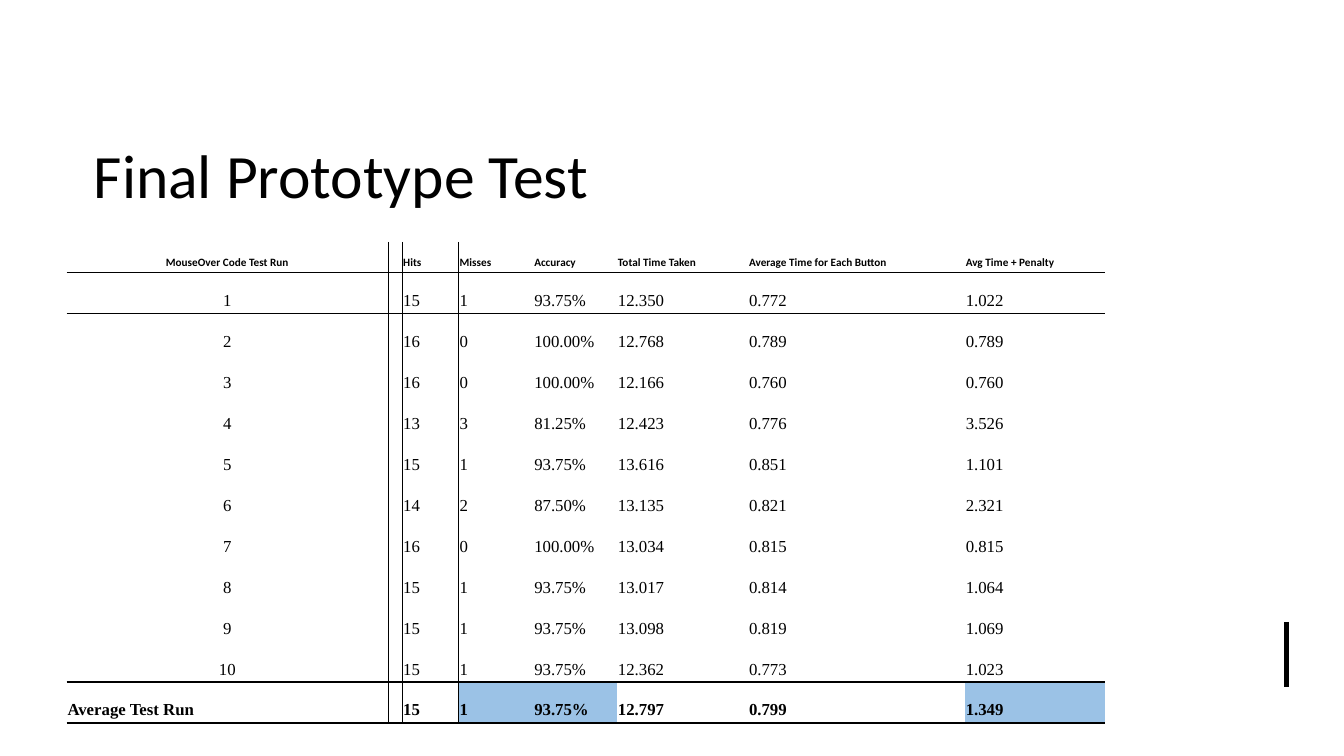
from lxml import etree
from pptx import Presentation
from pptx import util as u
from pptx.dml.color import RGBColor
from pptx.enum import shapes, text
from pptx.oxml.ns import qn

COLORS = {"ink": "000000", "highlight": "9BC2E6"}
NO_STYLE_NO_GRID = "{2D5ABB26-0587-4C30-8999-92F81FD0307C}"

HEADERS = ["MouseOver Code Test Run", "", "Hits", "Misses", "Accuracy",
           "Total Time Taken", "Average Time for Each Button", "Avg Time + Penalty"]
RUNS = [
    ("15", "1", "93.75%", "12.350", "0.772", "1.022"),
    ("16", "0", "100.00%", "12.768", "0.789", "0.789"),
    ("16", "0", "100.00%", "12.166", "0.760", "0.760"),
    ("13", "3", "81.25%", "12.423", "0.776", "3.526"),
    ("15", "1", "93.75%", "13.616", "0.851", "1.101"),
    ("14", "2", "87.50%", "13.135", "0.821", "2.321"),
    ("16", "0", "100.00%", "13.034", "0.815", "0.815"),
    ("15", "1", "93.75%", "13.017", "0.814", "1.064"),
    ("15", "1", "93.75%", "13.098", "0.819", "1.069"),
    ("15", "1", "93.75%", "12.362", "0.773", "1.023"),
]
AVERAGE = ["Average Test Run", "", "15", "1", "93.75%", "12.797", "0.799", "1.349"]
ROWS = [HEADERS, *([str(n), "", *run] for n, run in enumerate(RUNS, 1)), AVERAGE]
LAST = len(ROWS) - 1
COLUMN_WIDTHS = [3.19, 0.14, 0.56, 0.74, 0.83, 1.3, 2.15, 1.39]
HEADER_HEIGHT = 0.3
ROW_HEIGHT = 4.47 / LAST
HIGHLIGHTED_COLUMNS = (3, 4, 7)


def add_run(paragraph, words, font_name, size, bold=False):
    run = paragraph.add_run()
    run.text = words
    run.font.name = font_name
    run.font.size = u.Pt(size)
    run.font.bold = bold
    run.font.color.rgb = RGBColor.from_string(COLORS["ink"])


def add_border(cell, side, points):
    """Draw one cell side (L, R, T or B); call in that order."""
    line = etree.SubElement(cell._tc.get_or_add_tcPr(), qn(f"a:ln{side}"),
                            w=str(u.Pt(points)))
    fill = etree.SubElement(line, qn("a:solidFill"))
    etree.SubElement(fill, qn("a:srgbClr"), val=COLORS["ink"])


presentation = Presentation()
presentation.slide_width = u.Inches(13.33)
presentation.slide_height = u.Inches(7.5)
slide = presentation.slides.add_slide(presentation.slide_layouts[5])

# Title
title = slide.shapes.title
title.left, title.top = u.Inches(0.83), u.Inches(0.94)
title.width, title.height = u.Inches(11.35), u.Inches(1.57)
title.text_frame.vertical_anchor = text.MSO_ANCHOR.MIDDLE
title_paragraph = title.text_frame.paragraphs[0]
title_paragraph.alignment = text.PP_ALIGN.LEFT
add_run(title_paragraph, "Final Prototype Test", "Calibri", 44)

# Accent line at the right edge
accent = slide.shapes.add_connector(
    shapes.MSO_CONNECTOR.STRAIGHT,
    u.Inches(12.76), u.Inches(6.17), u.Inches(12.76), u.Inches(6.82))
accent.line.color.rgb = RGBColor.from_string(COLORS["ink"])
accent.line.width = u.Pt(3)
etree.SubElement(accent._element.spPr, qn("a:effectLst"))

# Results table
table = slide.shapes.add_table(
    len(ROWS), len(HEADERS), u.Inches(0.66), u.Inches(2.4),
    u.Inches(sum(COLUMN_WIDTHS)), u.Inches(HEADER_HEIGHT + LAST * ROW_HEIGHT)).table
table.first_row = table.horz_banding = False
table._tbl.tblPr.find(qn("a:tableStyleId")).text = NO_STYLE_NO_GRID
for column, width in zip(table.columns, COLUMN_WIDTHS):
    column.width = u.Inches(width)

for r, values in enumerate(ROWS):
    table.rows[r].height = u.Inches(ROW_HEIGHT if r else HEADER_HEIGHT)
    font_name, size = ("Times New Roman", 12) if r else ("Calibri", 8)
    for c, value in enumerate(values):
        cell = table.cell(r, c)
        cell.vertical_anchor = text.MSO_ANCHOR.BOTTOM
        cell.margin_left = cell.margin_right = cell.margin_top = u.Inches(0.01)
        cell.margin_bottom = u.Inches(0.03)
        paragraph = cell.text_frame.paragraphs[0]
        if c == 0 and r < LAST:
            paragraph.alignment = text.PP_ALIGN.CENTER
        if value:
            add_run(paragraph, value, font_name, size, bold=r in (0, LAST))
        else:
            etree.SubElement(paragraph._p, qn("a:endParaRPr"), sz="800")

        if c in (1, 2):
            add_border(cell, "L", 0.75)
        if c in (0, 1):
            add_border(cell, "R", 0.75)
        if r in (1, LAST):
            add_border(cell, "T", 0.75 if r == 1 else 1.5)
        if r in (0, LAST - 1, LAST):
            add_border(cell, "B", 1.5 if r else 0.75)
        if r == LAST and c in HIGHLIGHTED_COLUMNS:
            cell.fill.solid()
            cell.fill.fore_color.rgb = RGBColor.from_string(COLORS["highlight"])

presentation.save("out.pptx")
